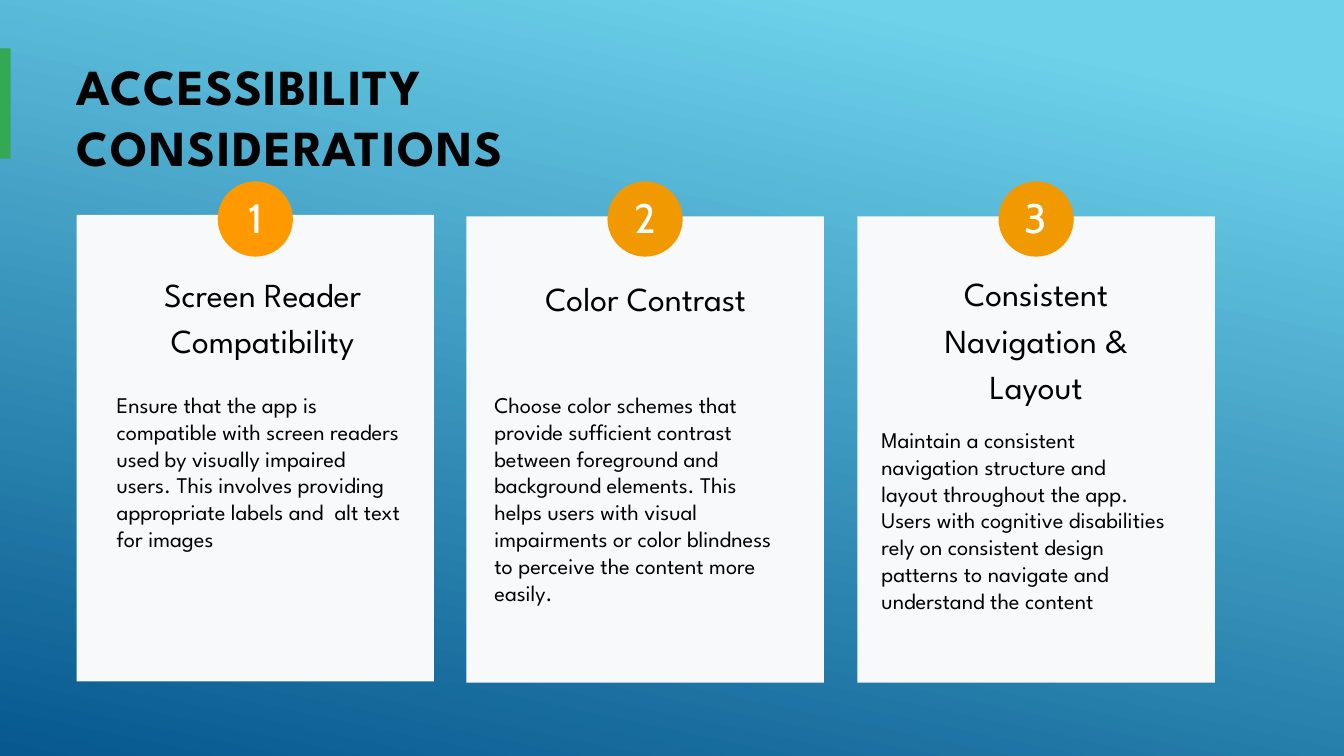
from pptx import Presentation
from pptx.dml.color import RGBColor
from pptx.enum.shapes import MSO_SHAPE as SHAPE
from pptx.enum.text import MSO_ANCHOR as ANCHOR, MSO_AUTO_SIZE as AUTO, PP_ALIGN as ALIGN
from pptx.util import Inches, Pt

SKY = RGBColor(0x6E, 0xD2, 0xEB)
NAVY = RGBColor(0x06, 0x58, 0x8E)
GREEN = RGBColor(0x34, 0xA8, 0x53)
CARD = RGBColor(0xF7, 0xF9, 0xFA)
ORANGE = RGBColor(0xFF, 0x99, 0x00)
AMBER = RGBColor(0xF1, 0x99, 0x00)
BLACK = RGBColor(0, 0, 0)
WHITE = RGBColor(0xFF, 0xFF, 0xFF)

SPARTAN, CABIN = "League Spartan", "Cabin"

CARD_LEFTS = (0.57, 3.47, 6.38)
CARD_W, CARD_H = 2.66, 3.47
BADGE = 0.56

# Card top, badge colour, heading box, body box, heading, body
CARDS = [
    (1.6, ORANGE, (0.78, 1.98, 2.34, 0.71), (0.77, 2.86, 2.31, 1.51),
     "Screen Reader Compatibility",
     "Ensure that the app is compatible with screen readers used by visually "
     "impaired users. This involves providing appropriate labels and  alt text "
     "for images"),
    (1.61, AMBER, (3.63, 2.01, 2.34, 0.33), (3.58, 2.86, 2.31, 1.92),
     "Color Contrast",
     "Choose color schemes that provide sufficient contrast between foreground "
     "and background elements. This helps users with visual impairments or "
     "color blindness to perceive the content more easily."),
    (1.61, AMBER, (6.72, 1.98, 1.97, 1.06), (6.46, 3.12, 2.31, 1.72),
     "Consistent Navigation & Layout",
     "Maintain a consistent navigation structure and layout throughout the app. "
     "Users with cognitive disabilities rely on consistent design patterns to "
     "navigate and understand the content"),
]


def set_background(s):
    fill = s.background.fill
    fill.gradient()
    fill.gradient_angle = 258
    for stop, position, color in zip(fill.gradient_stops, (0.1, 1), (SKY, NAVY)):
        stop.position = position
        stop.color.rgb = color


def set_margins(tf, left, top, right, bottom):
    tf.margin_left, tf.margin_top = Inches(left), Inches(top)
    tf.margin_right, tf.margin_bottom = Inches(right), Inches(bottom)


def write(tf, text, size, font, color, align=ALIGN.LEFT, bold=False):
    tf.word_wrap = True
    p = tf.paragraphs[0]
    p.text = text
    p.alignment = align
    p.font.size, p.font.name = Pt(size), font
    p.font.color.rgb, p.font.bold = color, bold
    return p


def add_block(s, kind, box, color):
    sp = s.shapes.add_shape(kind, *map(Inches, box))
    sp.shadow.inherit = False
    sp.fill.solid()
    sp.fill.fore_color.rgb = color
    sp.line.fill.background()
    return sp


def add_title(s):
    title = s.shapes.title
    title.left, title.top, title.width, title.height = map(
        Inches, (0.55, 0.39, 4.26, 0.92))
    tf = title.text_frame
    tf.auto_size = AUTO.NONE
    tf.vertical_anchor = ANCHOR.MIDDLE
    set_margins(tf, 0.02, 0.02, 0, 0)
    p = write(tf, "ACCESSIBILITY ", 27, SPARTAN, BLACK, bold=True)
    p.add_run().text = "CONSIDERATIONS"
    for r, spacing in zip(p.runs, ("60", "90")):
        r._r.get_or_add_rPr().set("spc", spacing)


def add_heading(s, box, text):
    tf = s.shapes.add_textbox(*map(Inches, box)).text_frame
    set_margins(tf, 0.01, 0.01, 0, 0)
    p = write(tf, text, 18, SPARTAN, BLACK, ALIGN.CENTER)
    p.line_spacing = 1.15


def add_body(s, box, text):
    tf = s.shapes.add_textbox(*map(Inches, box)).text_frame
    write(tf, text, 12, SPARTAN, BLACK)


def add_badge(s, center, number, color):
    sp = add_block(s, SHAPE.OVAL, (center - BADGE / 2, 1.35, BADGE, BADGE), color)
    tf = sp.text_frame
    tf.vertical_anchor = ANCHOR.MIDDLE
    set_margins(tf, 0, 0, 0, 0.03)
    write(tf, str(number), 22, CABIN, WHITE, ALIGN.CENTER)


def main():
    prs = Presentation()
    # Widescreen, 16:9
    prs.slide_width = Inches(10)
    prs.slide_height = prs.slide_width * 9 // 16
    s = prs.slides.add_slide(prs.slide_layouts[5])
    set_background(s)

    # Title with its green edge mark
    add_block(s, SHAPE.RECTANGLE, (0, 0.36, 0.08, 0.82), GREEN)
    add_title(s)

    # Numbered cards
    for number, (left, card) in enumerate(zip(CARD_LEFTS, CARDS), start=1):
        top, color, heading_box, body_box, heading, body = card
        add_block(s, SHAPE.RECTANGLE, (left, top, CARD_W, CARD_H), CARD)
        add_badge(s, left + CARD_W / 2, number, color)
        add_heading(s, heading_box, heading)
        add_body(s, body_box, body)

    prs.save("out.pptx")


if __name__ == "__main__":
    main()
